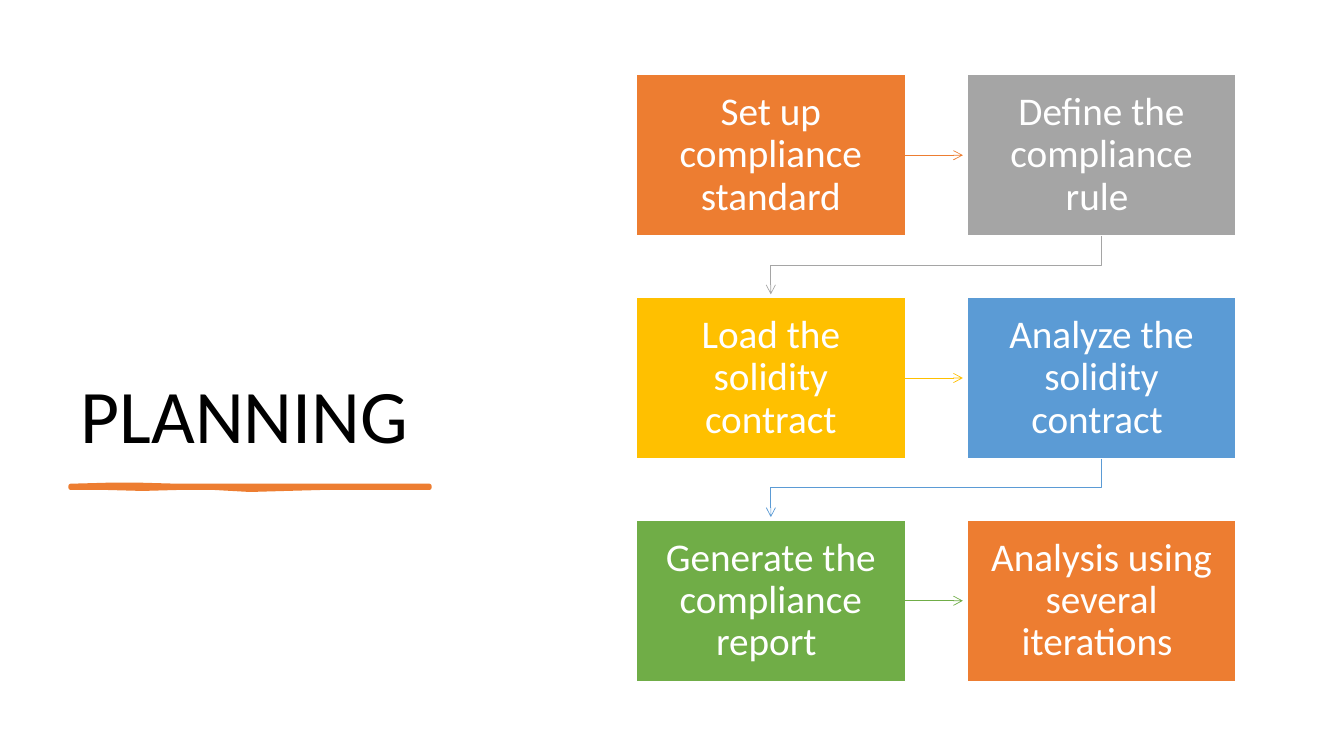
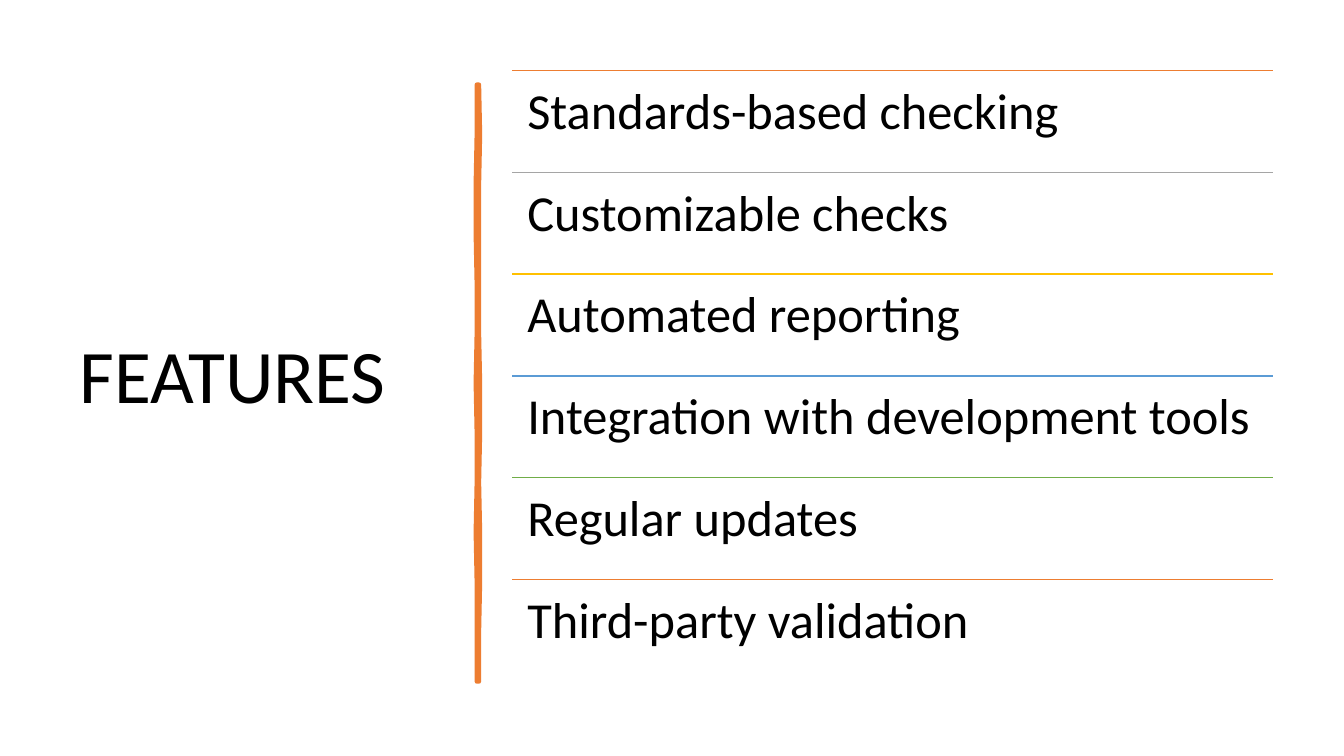
from pptx import Presentation
from pptx.dml.color import RGBColor
from pptx.enum.shapes import MSO_CONNECTOR, MSO_SHAPE
from pptx.enum.text import MSO_ANCHOR, MSO_AUTO_SIZE, PP_ALIGN
from pptx.oxml.ns import qn
from pptx.util import Inches, Pt
from lxml import etree

RECT = MSO_SHAPE.RECTANGLE
LINE, ELBOW = MSO_CONNECTOR.STRAIGHT, MSO_CONNECTOR.ELBOW
TOP, MIDDLE, LOW = MSO_ANCHOR.TOP, MSO_ANCHOR.MIDDLE, MSO_ANCHOR.BOTTOM
LEFT, CENTER = PP_ALIGN.LEFT, PP_ALIGN.CENTER
FIXED = MSO_AUTO_SIZE.NONE

FONT, BLACK, WHITE = "Calibri", "000000", "FFFFFF"
ORANGE, GRAY, GOLD, BLUE, GREEN = "ED7D31", "A5A5A5", "FFC000", "5B9BD5", "70AD47"
HUES = [ORANGE, GRAY, GOLD, BLUE, GREEN, ORANGE]


def rgb(code):
    """Turn a hex string into a colour."""
    return RGBColor.from_string(code)


def inches(*sizes):
    """Turn numbers into lengths."""
    return [Inches(size) for size in sizes]


def assign(target, values):
    """Set each attribute named in a dict."""
    for name, value in values.items():
        setattr(target, name, value)


class Deck:
    """Holds the shared style and the current slide."""

    def __init__(self):
        """Start a wide, empty deck."""
        self.prs = Presentation()
        assign(self.prs, {"slide_width": Inches(13.33), "slide_height": Inches(7.5)})
        self.slide = None

    def start(self, title, box, anchor):
        """Add a slide with its title on the left."""
        self.slide = self.prs.slides.add_slide(self.prs.slide_layouts[5])
        shape = self.slide.shapes.title
        assign(shape, dict(zip(("left", "top", "width", "height"), inches(*box))))
        self.letter(shape, title, 54, BLACK, anchor, LEFT, (0.1, 0.05))

    def letter(self, shape, text, size, hue, anchor, align, pad):
        """Put one styled paragraph in a shape."""
        side, edge = inches(*pad)
        frame = shape.text_frame
        frame.text = text
        assign(frame, {"word_wrap": True, "auto_size": FIXED, "vertical_anchor": anchor,
                       "margin_left": side, "margin_right": side,
                       "margin_top": edge, "margin_bottom": edge})
        para = frame.paragraphs[0]
        assign(para, {"alignment": align, "line_spacing": 0.9})
        font = para.runs[0].font
        assign(font, {"name": FONT, "size": Pt(size)})
        font.color.rgb = rgb(hue)

    def paint(self, shape, fill, line, width):
        """Give a shape a flat fill and outline."""
        shape.shadow.inherit = False
        shape.fill.solid()
        shape.fill.fore_color.rgb = rgb(fill)
        shape.line.color.rgb = rgb(line)
        shape.line.width = Pt(width)

    def box(self, text, place, hue):
        """Add a filled step box."""
        shape = self.slide.shapes.add_shape(RECT, *inches(*place))
        self.paint(shape, hue, WHITE, 1)
        self.letter(shape, text, 28, WHITE, MIDDLE, CENTER, (0.13, 0.14))

    def label(self, text, place):
        """Add a plain text row."""
        shape = self.slide.shapes.add_textbox(*inches(*place))
        self.letter(shape, text, 36, BLACK, TOP, LEFT, (0.15, 0.15))

    def link(self, ends, hue, width, kind=LINE, arrow=False):
        """Add a line, with an arrowhead if asked."""
        link = self.slide.shapes.add_connector(kind, *inches(*ends))
        link.line.color.rgb = rgb(hue)
        link.line.width = Pt(width)
        props = link._element.spPr
        etree.SubElement(props, qn("a:effectLst"))
        if arrow:
            etree.SubElement(props.find(qn("a:ln")), qn("a:tailEnd"), type="arrow")
        return link

    def bend(self, start, end, hue):
        """Add an arrow that leaves downward and turns twice."""
        (x1, y1), (x2, y2) = start, end
        mid_x, mid_y = (x1 + x2) / 2, (y1 + y2) / 2
        half_w, half_h = (y2 - y1) / 2, (x1 - x2) / 2
        ends = mid_x - half_w, mid_y - half_h, mid_x + half_w, mid_y + half_h
        link = self.link(ends, hue, 0.5, ELBOW, True)
        link._element.spPr.find(qn("a:xfrm")).set("rot", "5400000")

    def stroke(self, place, length, near, far, width, upright=False):
        """Add a brush stroke; near and far are its edges in 1/100 inch."""
        gap = length / (len(near) - 1)
        edge = [(i * gap, n / 100) for i, n in enumerate(near)]
        edge += [(i * gap, f / 100) for i, f in enumerate(far)][::-1]
        left, top = place
        points = [inches(left + b, top + a) if upright else inches(left + a, top + b)
                  for a, b in edge]
        maker = self.slide.shapes.build_freeform(*points[0], scale=1.0)
        maker.add_line_segments(points[1:], close=True)
        shape = maker.convert_to_shape()
        self.paint(shape, ORANGE, ORANGE, width)
        outline = shape._element.spPr.find(qn("a:ln"))
        etree.SubElement(outline, qn("a:round"))


def planning(deck):
    """Build the slide of six linked steps."""
    deck.start("PLANNING", (0.7, 0.7, 3.91, 3.91), LOW)
    deck.stroke((0.7, 4.82), 3.56, [0, -1, -1, 0, 0, 0, 0, 0, 0, 0, 0],
                [2, 2, 3, 2, 2, 4, 3, 2, 2, 2, 2], 3)
    steps = ["Set up compliance standard", "Define the compliance rule\u00a0",
             "Load the solidity contract", "Analyze the solidity contract\u00a0",
             "Generate the compliance report\u00a0",
             "Analysis using several iterations\u00a0"]
    left, top, wide, high = 6.31, 0.74, 2.67, 1.6
    step_x, step_y = 3.28, 2.21
    for i, (text, hue) in enumerate(zip(steps, HUES)):
        row, col = divmod(i, 2)
        x, y = left + col * step_x, top + row * step_y
        deck.box(text, (x, y, wide, high), hue)
        mid, base = x + wide / 2, y + high
        if col == 0:
            level = y + high / 2
            deck.link((x + wide, level, x + step_x - 0.04, level), hue, 0.5, arrow=True)
        elif i < len(steps) - 1:
            deck.bend((mid, base), (mid - step_x, base + 0.58), hue)


def features(deck):
    """Build the slide of ruled feature rows."""
    deck.start("FEATURES", (0.69, 0.7, 3.74, 6.11), MIDDLE)
    deck.stroke((4.73, 0.84), 5.92, [0, 0, -1, -1, 0, 0, -1, 0, 0, -1, 0, 0, 0],
                [2, 3, 2, 2, 2, 2, 3, 3, 2, 3, 3, 2, 2], 3.25, True)
    rows = ["Standards-based checking", "Customizable checks", "Automated reporting",
            "Integration with development tools", "Regular updates",
            "Third-party validation"]
    left, top, wide, high = 5.08, 0.7, 7.55, 1.01
    for i, (text, hue) in enumerate(zip(rows, HUES)):
        y = top + i * high
        deck.link((left, y, left + wide, y), hue, 1)
        deck.label(text, (left, y, wide, high))


deck = Deck()
planning(deck)
features(deck)
deck.prs.save("out.pptx")
